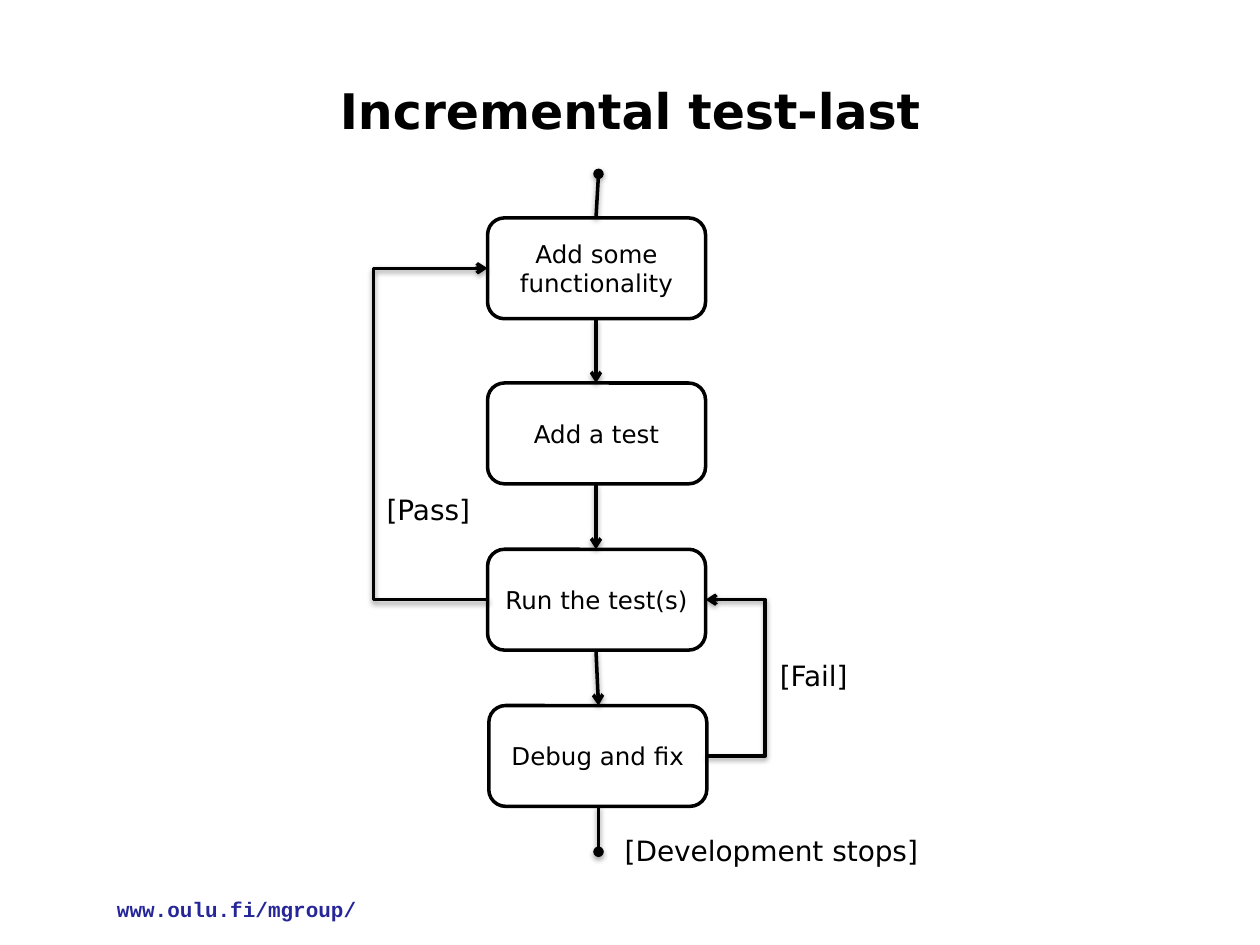
"""Draw the incremental test-last flow as one slide."""
from lxml import etree
from pptx import Presentation, util as u
from pptx.dml.color import RGBColor
from pptx.enum import shapes as s, text as t
from pptx.oxml import parse_xml
from pptx.oxml.ns import nsdecls, qn

BLACK = RGBColor(0, 0, 0)
WHITE = RGBColor(255, 255, 255)
BLUE = RGBColor(0x26, 0x26, 0x99)
COLS, ROWS = 100, 75
SANS = "DejaVu Sans"
SHADE = f"""<a:effectLst {nsdecls("a")}>
<a:outerShdw blurRad="40000" dist="20000" dir="5400000" rotWithShape="0">
<a:srgbClr val="000000"><a:alpha val="38000"/></a:srgbClr>
</a:outerShdw></a:effectLst>"""

deck = Presentation()
deck.slide_width, deck.slide_height = u.Inches(10), u.Inches(7.5)
page = deck.slides.add_slide(deck.slide_layouts[6])
cell = deck.slide_width / COLS, deck.slide_height / ROWS


def grid(*vals):
    return [u.Emu(round(v * cell[i % 2])) for i, v in enumerate(vals)]


def put(shape, words, size, align, color=BLACK, name=SANS, bold=False, **form):
    frame = shape.text_frame
    for key, val in form.items():
        setattr(frame, key, val)
    para = frame.paragraphs[0]
    para.alignment = align
    run = para.add_run()
    run.text = words
    look = {"size": u.Pt(size), "name": name, "bold": bold}
    for key, val in look.items():
        setattr(run.font, key, val)
    run.font.color.rgb = color


MID, LEFT = t.PP_ALIGN.CENTER, t.PP_ALIGN.LEFT
CORE = t.MSO_ANCHOR.MIDDLE

title = page.shapes.add_textbox(*grid(7.5, 2.5, 85, 12.5))
put(title, "Incremental test-last", 28, MID, bold=True,
    word_wrap=True, vertical_anchor=CORE)

WIDE, HIGH = 17.3, 8
steps = [
    ("Add some functionality", 38.7, 17.3),
    ("Add a test", 38.7, 30.4),
    ("Run the test(s)", 38.7, 43.6),
    ("Debug and fix", 38.8, 56),
]
for words, x, y in steps:
    box = page.shapes.add_shape(
        s.MSO_SHAPE.ROUNDED_RECTANGLE, *grid(x, y, WIDE, HIGH))
    box.shadow.inherit = False
    box.fill.solid()
    box.fill.fore_color.rgb = WHITE
    box.line.color.rgb = BLACK
    box.line.width = u.Pt(2)
    put(box, words, 14, MID, word_wrap=True, vertical_anchor=CORE)

tops = [y for _, _, y in steps]
mids = [y + HIGH / 2 for y in tops]
AXIS, END = 47.3, 47.5
near, far = 38.7, 56
links = [
    (AXIS, tops[0] + HIGH, AXIS, tops[1], "arrow", None),
    (AXIS, tops[1] + HIGH, AXIS, tops[2], "arrow", None),
    (AXIS, tops[2] + HIGH, END, tops[3], "arrow", None),
    (END, tops[3] + HIGH, END, 67.6, "oval", None),
    (AXIS, tops[0], END, 13.8, "oval", None),
    (near + 0.1, mids[2], near, mids[0], "arrow", 29.5),
    (far + 0.1, mids[3], far, mids[2], "arrow", 60.8),
]
for x, y, to_x, to_y, tip, via in links:
    kind = s.MSO_CONNECTOR.STRAIGHT if via is None else s.MSO_CONNECTOR.ELBOW
    link = page.shapes.add_connector(kind, *grid(x, y, to_x, to_y))
    link.line.color.rgb = BLACK
    link.line.width = u.Pt(2)
    props = link._element.spPr
    etree.SubElement(props.find(qn("a:ln")), qn("a:tailEnd"), type=tip)
    props.append(parse_xml(SHADE))
    if via is not None:
        geom = props.find(qn("a:prstGeom"))
        bends = geom.find(qn("a:avLst"))
        if bends is None:
            bends = etree.SubElement(geom, qn("a:avLst"))
        turn = round((via - x) / (to_x - x) * 100000)
        etree.SubElement(bends, qn("a:gd"), name="adj1", fmla=f"val {turn}")

notes = [
    ("[Pass]", (29.7, 38.6, 9, 3.7), {"size": 16}),
    ("[Fail]", (60.9, 51.8, 7.8, 3.7), {"size": 16}),
    ("[Development stops]", (48.6, 65.7, 25.7, 3.7), {"size": 16}),
    ("www.oulu.fi/mgroup/", (8.3, 70.7, 21.3, 3),
     {"size": 12, "color": BLUE, "name": "Courier New", "bold": True}),
]
for words, spot, look in notes:
    note = page.shapes.add_textbox(*grid(*spot))
    put(note, words, align=LEFT, word_wrap=False,
        auto_size=t.MSO_AUTO_SIZE.SHAPE_TO_FIT_TEXT, **look)

deck.save("out.pptx")
